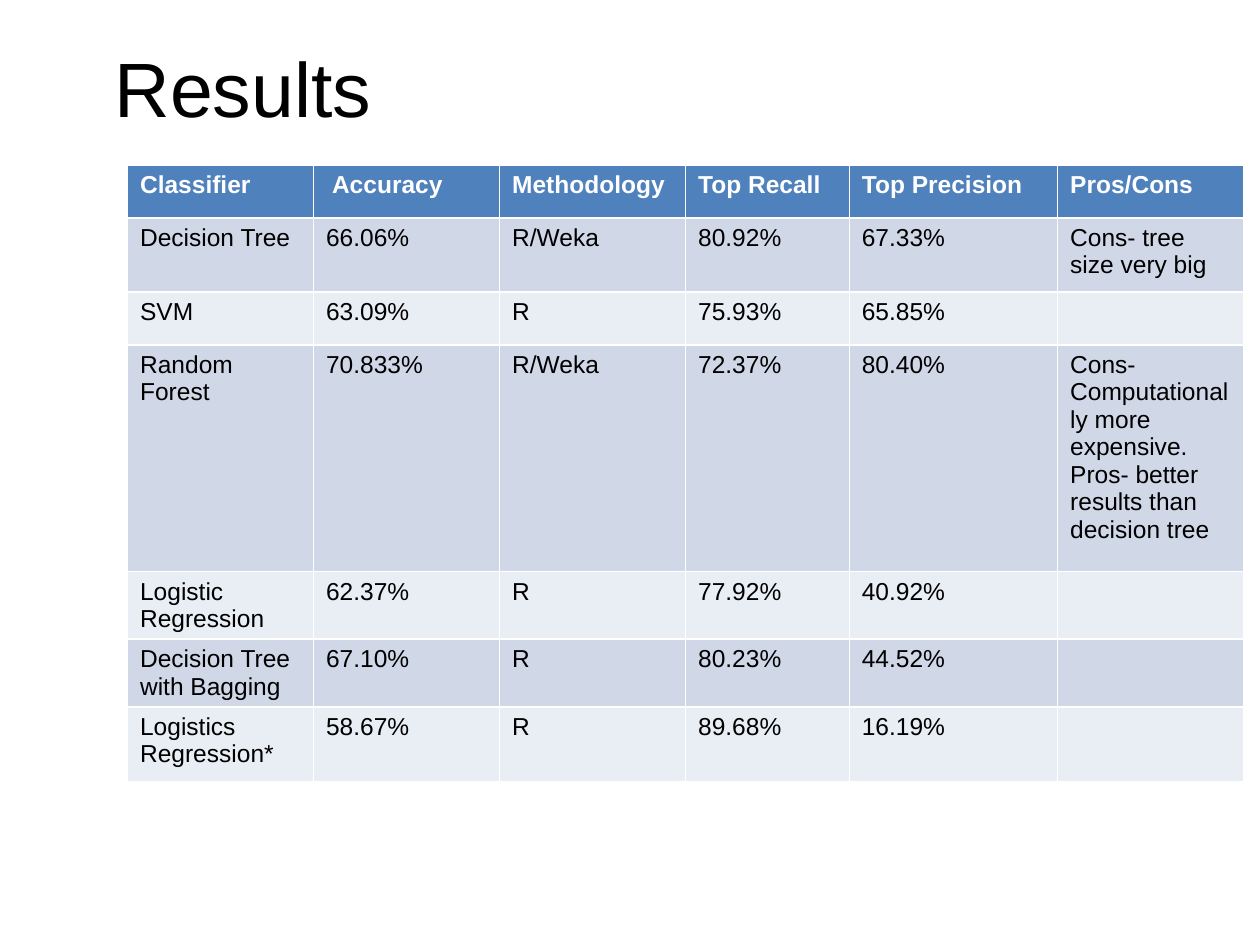
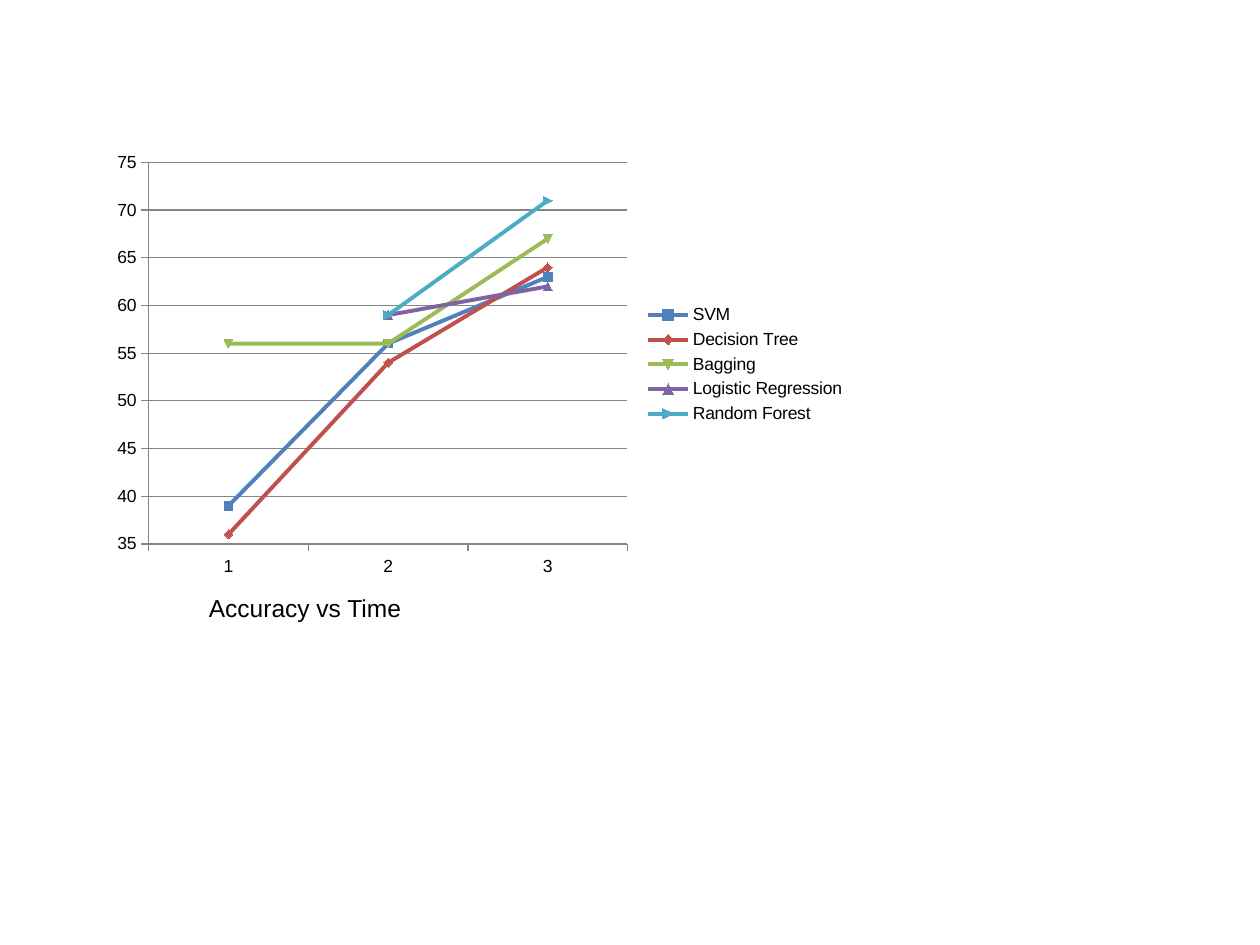
from pptx import Presentation
from pptx.chart.data import CategoryChartData
from pptx.dml.color import RGBColor
from pptx.enum.chart import XL_CHART_TYPE, XL_LEGEND_POSITION, XL_TICK_MARK
from pptx.enum.text import MSO_ANCHOR, PP_ALIGN
from pptx.util import Cm, Pt

COLORS = {
    "text": "000000", "header_text": "FFFFFF", "header": "4F81BD",
    "odd_row": "D0D8E8", "even_row": "E9EDF4", "axis": "868686",
    "SVM": "4F81BD", "Decision Tree": "C0504D", "Bagging": "9BBB59",
    "Logistic Regression": "8064A2", "Random Forest": "4BACC6",
}

RESULTS = [
    ["Classifier", " Accuracy", "Methodology", "Top Recall", "Top Precision", "Pros/Cons"],
    ["Decision Tree", "66.06%", "R/Weka", "80.92%", "67.33%", "Cons- tree size very big"],
    ["SVM", "63.09%", "R", "75.93%", "65.85%", ""],
    ["Random Forest", "70.833%", "R/Weka", "72.37%", "80.40%",
     "Cons- Computationally more expensive.\nPros- better results than decision tree"],
    ["Logistic Regression", "62.37%", "R", "77.92%", "40.92%", ""],
    ["Decision Tree with Bagging", "67.10%", "R", "80.23%", "44.52%", ""],
    ["Logistics Regression*", "58.67%", "R", "89.68%", "16.19%", ""],
]
COLUMN_WIDTHS = [3.75, 3.75, 3.75, 3.3, 4.2, 3.75]
ROW_HEIGHTS = [1.06, 1.5, 1.06, 4.57, 1.06, 1.06, 1.5]

ACCURACY = {
    "SVM": [39, 56, 63],
    "Decision Tree": [36, 54, 64],
    "Bagging": [56, 56, 67],
    "Logistic Regression": [None, 59, 62],
    "Random Forest": [None, 59, 71],
}


def rgb(name):
    """Return the named colour."""
    return RGBColor.from_string(COLORS[name])


class Deck:
    """Hold the style and the current slide."""

    font_name = "Arial"
    body_size = 14

    def __init__(self):
        """Start a presentation of 10 by 7.5 inches."""
        self.presentation = Presentation()
        self.presentation.slide_width = Cm(25.4)
        self.presentation.slide_height = Cm(19.05)
        self.slide = None

    def style(self, font, size=body_size, color="text", bold=False):
        """Apply the shared typeface to a font."""
        font.name = self.font_name
        font.size = Pt(size)
        font.bold = bold
        font.color.rgb = rgb(color)

    def add_slide(self, title=None):
        """Add a slide, with a title if one is given."""
        layout = "Title Only" if title else "Blank"
        layouts = self.presentation.slide_layouts
        self.slide = self.presentation.slides.add_slide(layouts.get_by_name(layout))
        if title:
            shape = self.slide.shapes.title
            shape.left, shape.top, shape.width, shape.height = map(Cm, (2.06, 0.15, 20.98, 3.18))
            frame = shape.text_frame
            frame.text = title
            frame.vertical_anchor = MSO_ANCHOR.MIDDLE
            frame.margin_left = frame.margin_right = Cm(0.25)
            frame.margin_top = frame.margin_bottom = Cm(0.25)
            paragraph = frame.paragraphs[0]
            paragraph.alignment = PP_ALIGN.LEFT
            self.style(paragraph.font, 44)

    def add_table(self, rows, left, top, widths, heights):
        """Add a table with a header and alternating row fills."""
        table = self.slide.shapes.add_table(
            len(rows), len(widths), Cm(left), Cm(top), Cm(sum(widths)), Cm(sum(heights))).table
        for column, width in zip(table.columns, widths):
            column.width = Cm(width)
        for index, (row, height, texts) in enumerate(zip(table.rows, heights, rows)):
            row.height = Cm(height)
            is_header = index == 0
            fill = "header" if is_header else "odd_row" if index % 2 else "even_row"
            for cell, text in zip(row.cells, texts):
                cell.text = text
                cell.fill.solid()
                cell.fill.fore_color.rgb = rgb(fill)
                for paragraph in cell.text_frame.paragraphs:
                    self.style(paragraph.font, color="header_text" if is_header else "text",
                               bold=is_header)

    def add_line_chart(self, categories, series_values, left, top, width, height):
        """Add a line chart with markers and a legend at the right."""
        data = CategoryChartData()
        data.categories = categories
        for name, values in series_values.items():
            data.add_series(name, values)
        chart = self.slide.shapes.add_chart(
            XL_CHART_TYPE.LINE_MARKERS, Cm(left), Cm(top), Cm(width), Cm(height), data).chart
        self.style(chart.font, 10)
        chart.has_title = False
        chart.has_legend = True
        chart.legend.position = XL_LEGEND_POSITION.RIGHT
        chart.legend.include_in_layout = False
        chart.plots[0].vary_by_categories = False
        value_axis = chart.value_axis
        value_axis.minimum_scale, value_axis.maximum_scale = 35, 75
        value_axis.major_unit = 5
        value_axis.has_major_gridlines = True
        for axis in (chart.category_axis, value_axis):
            axis.major_tick_mark = XL_TICK_MARK.OUTSIDE
            axis.format.line.color.rgb = rgb("axis")
        value_axis.major_gridlines.format.line.color.rgb = rgb("axis")
        for series in chart.plots[0].series:
            series.smooth = False
            series.format.line.color.rgb = rgb(series.name)
            series.format.line.width = Pt(2.25)
            marker = series.marker.format
            marker.fill.solid()
            marker.fill.fore_color.rgb = rgb(series.name)
            marker.line.color.rgb = rgb(series.name)

    def add_text(self, text, left, top, width, height):
        """Add a wrapped text box."""
        frame = self.slide.shapes.add_textbox(Cm(left), Cm(top), Cm(width), Cm(height)).text_frame
        frame.word_wrap = True
        frame.text = text
        self.style(frame.paragraphs[0].font)


def main():
    """Build and save the two slides."""
    deck = Deck()
    deck.add_slide("Results")
    deck.add_table(RESULTS, 2.57, 3.33, COLUMN_WIDTHS, ROW_HEIGHTS)
    deck.add_slide()
    deck.add_line_chart(["1", "2", "3"], ACCURACY, 2.06, 2.9, 15.24, 8.89)
    deck.add_text("Accuracy vs Time", 3.96, 11.84, 7.92, 0.86)
    deck.presentation.save("out.pptx")


if __name__ == "__main__":
    main()
